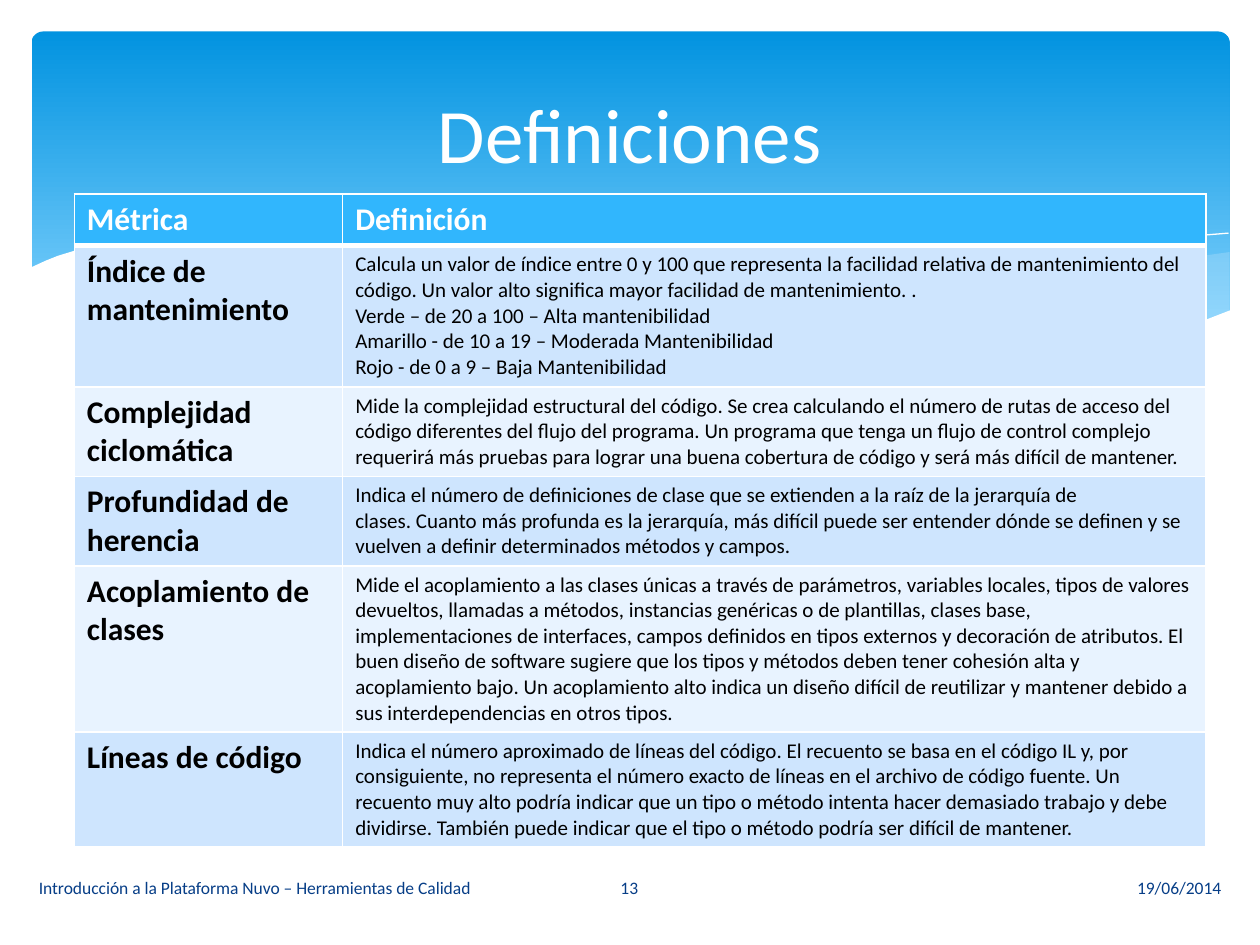
from dataclasses import dataclass

from lxml.etree import SubElement
from pptx import Presentation
from pptx.dml.color import RGBColor
from pptx.enum.shapes import MSO_SHAPE as Preset
from pptx.enum.text import MSO_ANCHOR as Anchor, PP_ALIGN as Align
from pptx.oxml.ns import qn
from pptx.util import Inches, Pt


@dataclass(frozen=True)
class Theme:
    """Colours, font and type sizes of the slide."""
    font: str = "Calibri"
    white: str = "FFFFFF"
    black: str = "000000"
    navy: str = "073E87"
    sky_top: str = "0293E0"
    sky_bottom: str = "83D3FE"
    mist: str = "C6E7FC"
    header: str = "31B6FD"
    bands: tuple = ("CEE5FE", "E8F3FF")
    title_size: int = 44
    term_size: int = 18
    body_size: int = 12
    footer_size: int = 10


THEME = Theme()
NBSP = chr(160)

RIGHT_SWELL = [
    (9.76, 2), (9.48, 2.04), (9.06, 2.13), (8.61, 2.23), (8.05, 2.37), (7.53, 2.48),
    (7.06, 2.57), (6.61, 2.65), (6.91, 2.69), (7.32, 2.74), (7.69, 2.77), (8.03, 2.78),
    (8.44, 2.77), (8.81, 2.73), (9.13, 2.67), (9.42, 2.59), (9.63, 2.52), (9.76, 2.47),
]
LONG_SWELL = [
    (8.93, 2.73), (8.37, 2.65), (7.75, 2.54), (7.06, 2.4), (6.29, 2.22), (5.84, 2.11),
    (5.41, 2.03), (5.02, 1.96), (4.65, 1.91), (4.2, 1.87), (3.8, 1.85), (3.44, 1.86),
    (3.13, 1.88), (2.86, 1.91), (3.23, 1.96), (3.62, 2.03), (4.04, 2.11), (4.49, 2.22),
    (5.3, 2.4), (5.84, 2.52), (6.34, 2.61), (6.8, 2.68), (7.22, 2.74), (7.61, 2.77),
    (7.96, 2.78), (8.38, 2.78), (8.67, 2.76),
]
FALLING_LINE = [
    (3.09, 1.95), (3.28, 1.92), (3.53, 1.89), (3.87, 1.87), (4.33, 1.87), (4.69, 1.89),
    (5.1, 1.92), (5.56, 1.97), (6.08, 2.04), (6.65, 2.13), (7.27, 2.26), (7.95, 2.41),
    (8.69, 2.61), (9.07, 2.72),
]
RISING_LINE = [
    (6.13, 2.57), (6.53, 2.46), (6.95, 2.35), (7.48, 2.23), (8.06, 2.1), (8.66, 1.99),
    (8.95, 1.94), (9.24, 1.9), (9.51, 1.87), (9.75, 1.85),
]
WHITE_WAVE = [
    (9.77, 2.46), (9.59, 2.53), (9.4, 2.59), (9.2, 2.65), (8.99, 2.69), (8.75, 2.73),
    (8.5, 2.75), (8.09, 2.77), (7.61, 2.75), (7.08, 2.7), (6.48, 2.62), (5.79, 2.5),
    (5.03, 2.33), (4.47, 2.2), (3.91, 2.07), (3.4, 1.97), (2.92, 1.9), (2.5, 1.86),
    (2.11, 1.84), (1.77, 1.84), (1.46, 1.85), (1.19, 1.87), (0.95, 1.91), (0.76, 1.95),
    (0.59, 1.99), (0.46, 2.03), (0.36, 2.07), (0.23, 2.13), (0.23, 3.29), (9.77, 3.29),
]

COLUMNS = [2.13, 6.85]
HEADINGS = ("Métrica", "Definición")
METRICS = [
    (1.12, "Índice de mantenimiento", [
        "Calcula un valor de índice entre 0 y 100 que representa la facilidad relativa de "
        f"mantenimiento del código.{NBSP}Un valor alto significa mayor facilidad de "
        f"mantenimiento.{NBSP}.{NBSP}",
        "Verde – de 20 a 100 – Alta mantenibilidad",
        "Amarillo - de 10 a 19 – Moderada Mantenibilidad",
        "Rojo - de 0 a 9 – Baja Mantenibilidad"]),
    (0.71, "Complejidad ciclomática", [
        f"Mide la complejidad estructural del código.{NBSP}Se crea calculando el número de rutas "
        "de acceso del código diferentes del flujo del programa. Un programa que tenga un flujo "
        "de control complejo requerirá más pruebas para lograr una buena cobertura de código y "
        "será más difícil de mantener."]),
    (0.71, "Profundidad de herencia", [
        "Indica el número de definiciones de clase que se extienden a la raíz de la jerarquía de "
        f"clases.{NBSP}Cuanto más profunda es la jerarquía, más difícil puede ser entender dónde "
        "se definen y se vuelven a definir determinados métodos y campos."]),
    (1.31, "Acoplamiento de clases", [
        "Mide el acoplamiento a las clases únicas a través de parámetros, variables locales, "
        "tipos de valores devueltos, llamadas a métodos, instancias genéricas o de plantillas, "
        "clases base, implementaciones de interfaces, campos definidos en tipos externos y "
        f"decoración de atributos.{NBSP}El buen diseño de software sugiere que los tipos y "
        f"métodos deben tener cohesión alta y acoplamiento bajo.{NBSP}Un acoplamiento alto indica "
        "un diseño difícil de reutilizar y mantener debido a sus interdependencias en otros "
        "tipos."]),
    (0.91, "Líneas de código", [
        f"Indica el número aproximado de líneas del código.{NBSP}El recuento se basa en el código "
        "IL y, por consiguiente, no representa el número exacto de líneas en el archivo de código "
        f"fuente.{NBSP}Un recuento muy alto podría indicar que un tipo o método intenta hacer "
        f"demasiado trabajo y debe dividirse.{NBSP}También puede indicar que el tipo o método "
        "podría ser difícil de mantener."]),
]


def paint(fill, color):
    """Give a fill one solid colour."""
    fill.solid()
    fill.fore_color.rgb = RGBColor.from_string(color)


def write(frame, lines, size, color, bold=False, align=Align.LEFT):
    """Write one paragraph per line in a shared style."""
    frame.word_wrap = True
    for index, line in enumerate(lines):
        para = frame.add_paragraph() if index else frame.paragraphs[0]
        para.text = line
        para.alignment = align
        para.font.name = THEME.font
        para.font.size = Pt(size)
        para.font.bold = bold
        para.font.color.rgb = RGBColor.from_string(color)


def add_text(page, area, text, size, color, align):
    """Add a vertically centred text box."""
    box = page.shapes.add_textbox(*map(Inches, area))
    box.text_frame.vertical_anchor = Anchor.MIDDLE
    write(box.text_frame, [text], size, color, align=align)


def add_sky(page):
    """Add the rounded gradient panel behind the title."""
    sky = page.shapes.add_shape(Preset.ROUNDED_RECTANGLE, *map(Inches, (0.25, 0.25, 9.51, 2.7)))
    sky.adjustments[0] = 0.034
    sky.shadow.inherit = False
    sky.line.fill.background()
    sky.fill.gradient()
    sky.fill.gradient_angle = 270
    stops = zip(sky.fill.gradient_stops, (0, 0.9), (THEME.sky_top, THEME.sky_bottom))
    for stop, position, color in stops:
        stop.position = position
        stop.color.rgb = RGBColor.from_string(color)


def draw_path(page, points, closed):
    """Build an outline through points given in inches."""
    start, *rest = [(Inches(x), Inches(y)) for x, y in points]
    builder = page.shapes.build_freeform(*start, scale=1.0)
    builder.add_line_segments(rest, close=closed)
    outline = builder.convert_to_shape()
    outline.shadow.inherit = False
    return outline


def add_wave(page, points, color, opacity=100):
    """Add a filled wave with the given opacity in percent."""
    wave = draw_path(page, points, True)
    wave.line.fill.background()
    paint(wave.fill, color)
    tint = wave.fill._xPr.find(f"{qn('a:solidFill')}/{qn('a:srgbClr')}")
    SubElement(tint, qn("a:alpha"), val=str(opacity * 1000))


def add_curve(page, points):
    """Add a white hairline curve."""
    curve = draw_path(page, points, False)
    curve.fill.background()
    paint(curve.line.fill, THEME.white)
    curve.line.width = Pt(0)


def style_cell(cell, color, bottom=1):
    """Set white borders and a fill on a table cell."""
    properties = cell._tc.get_or_add_tcPr()
    for side, width in (("L", 1), ("R", 1), ("T", 1), ("B", bottom)):
        border = SubElement(properties, qn(f"a:ln{side}"), w=str(Pt(width)))
        SubElement(SubElement(border, qn("a:solidFill")), qn("a:srgbClr"), val=THEME.white)
    paint(cell.fill, color)


def add_metrics(page):
    """Add the table of metrics and definitions."""
    heights = [0.41] + [height for height, _, _ in METRICS]
    area = map(Inches, (0.59, 1.54, sum(COLUMNS), sum(heights)))
    table = page.shapes.add_table(len(heights), len(COLUMNS), *area).table
    for column, width in zip(table.columns, COLUMNS):
        column.width = Inches(width)
    for row, height in zip(table.rows, heights):
        row.height = Inches(height)
    for column, heading in enumerate(HEADINGS):
        cell = table.cell(0, column)
        style_cell(cell, THEME.header, bottom=3)
        write(cell.text_frame, [heading], THEME.term_size, THEME.white, bold=True)
    for row, (_, term, definition) in enumerate(METRICS, 1):
        name, meaning = table.cell(row, 0), table.cell(row, 1)
        for cell in (name, meaning):
            style_cell(cell, THEME.bands[(row - 1) % 2])
        write(name.text_frame, [term], THEME.term_size, THEME.black, bold=True)
        write(meaning.text_frame, definition, THEME.body_size, THEME.black)


def add_footer(page):
    """Add the course name, page number and date."""
    for left, width, text, align in (
            (5.65, 4.14, "19/06/2014", Align.RIGHT),
            (0.21, 4.14, "Introducción a la Plataforma Nuvo – Herramientas de Calidad", Align.LEFT),
            (4.36, 1.27, "13", Align.CENTER)):
        add_text(page, (left, 6.84, width, 0.4), text, THEME.footer_size, THEME.navy, align)


def main():
    """Build the slide and save it."""
    deck = Presentation()
    deck.slide_width, deck.slide_height = Inches(10), Inches(7.5)
    page = deck.slides.add_slide(deck.slide_layouts[6])
    add_sky(page)
    add_wave(page, RIGHT_SWELL, THEME.mist, 29)
    add_wave(page, LONG_SWELL, THEME.mist, 40)
    add_curve(page, FALLING_LINE)
    add_curve(page, RISING_LINE)
    add_wave(page, WHITE_WAVE, THEME.white)
    add_metrics(page)
    add_text(page, (0.5, 0.37, 9, 1.37), "Definiciones", THEME.title_size, THEME.white, Align.CENTER)
    add_footer(page)
    deck.save("out.pptx")


if __name__ == "__main__":
    main()
